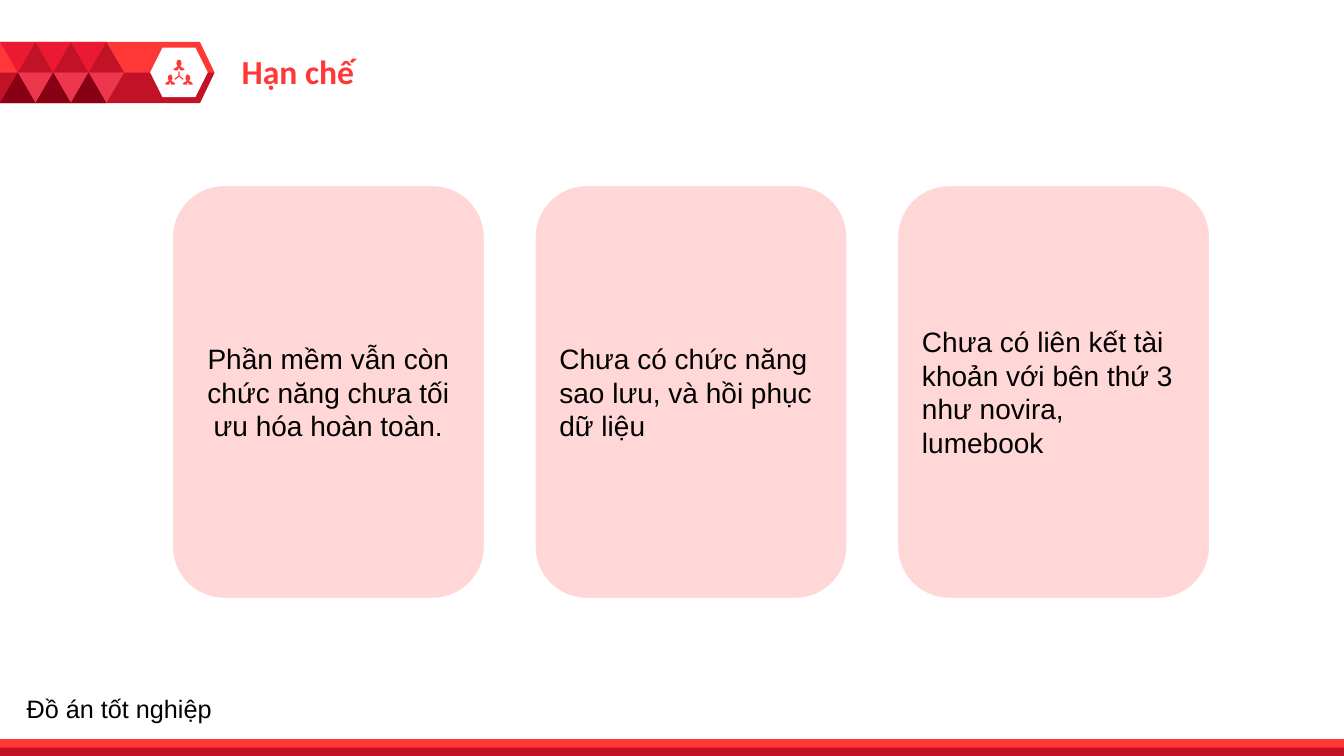
"""Builds the limitations slide: a red title banner, three cards and a footer."""
from pptx import Presentation
from pptx.dml.color import RGBColor
from pptx.enum.shapes import MSO_SHAPE
from pptx.enum.text import MSO_ANCHOR, PP_ALIGN
from pptx.util import Pt

BRIGHT_RED = RGBColor(0xFF, 0x37, 0x37)
DARK_RED = RGBColor(0xC2, 0x12, 0x27)
CRIMSON = RGBColor(0xEB, 0x19, 0x32)
ROSE = RGBColor(0xED, 0x37, 0x4D)
MAROON = RGBColor(0x88, 0x00, 0x14)
PALE_PINK = RGBColor(0xFF, 0xD7, 0xD7)
WHITE = RGBColor(0xFF, 0xFF, 0xFF)
BLACK = RGBColor(0, 0, 0)

deck = Presentation()
deck.slide_width, deck.slide_height = Pt(960), Pt(540)
page = deck.slides.add_slide(deck.slide_layouts[6])


def add_filled(kind, left, top, width, height, color):
    shape = page.shapes.add_shape(kind, Pt(left), Pt(top), Pt(width), Pt(height))
    shape.shadow.inherit = False
    shape.fill.solid()
    shape.fill.fore_color.rgb = color
    shape.line.fill.background()
    return shape


def add_outline(contours, color):
    contours = [[(Pt(x), Pt(y)) for x, y in contour] for contour in contours]
    builder = page.shapes.build_freeform(*contours[0][0], scale=1.0)
    for contour in contours:
        builder.move_to(*contour[0])
        builder.add_line_segments(contour[1:], close=True)
    shape = builder.convert_to_shape()
    shape.shadow.inherit = False
    shape.fill.solid()
    shape.fill.fore_color.rgb = color
    shape.line.fill.background()


banner = add_filled(MSO_SHAPE.PENTAGON, 0, 30, 153.2, 43.6, BRIGHT_RED)
banner.adjustments[0] = 0.239
add_outline([[(0, 51.8), (153.2, 51.8), (142.8, 73.6), (0, 73.6)]], DARK_RED)
badge = add_filled(MSO_SHAPE.HEXAGON, 107.2, 34, 41.2, 35.4, WHITE)
badge.adjustments[0] = 0.25

PERSON_HALF = [(0, 0), (0.25, 0.06), (0.42, 0.22), (0.46, 0.4), (0.3, 0.54),
               (0.25, 0.64), (0.5, 0.72), (0.8, 0.8), (1, 0.95), (0.6, 1),
               (0.2, 1), (0.06, 0.78)]
PERSON = PERSON_HALF + [(-x, y) for x, y in reversed(PERSON_HALF[1:])]
people = [[(center + x * half_width, top + y * height) for x, y in PERSON]
          for center, top, half_width, height in
          [(127.9, 42.6, 4, 7.7), (121.6, 53.2, 3.7, 7.3), (134.2, 53.2, 3.7, 7.3)]]
links = [(127.5, 51.1), (128.3, 51.1), (128.3, 54.1), (131.2, 56.4),
         (130.7, 57), (127.9, 54.8), (125.1, 57), (124.6, 56.4), (127.5, 54.1)]
add_outline(people + [links], BRIGHT_RED)

TILES = [(0, 29.9, 180, CRIMSON), (12.7, 30, 0, DARK_RED),
         (12.7, 51.8, 180, ROSE), (0, 51.8, 0, MAROON)]
for column in range(3):
    for offset, top, rotation, color in TILES:
        tile = add_filled(MSO_SHAPE.ISOSCELES_TRIANGLE, column * 25.3 + offset, top,
                          25.3, 21.8, color)
        tile.rotation = rotation

add_filled(MSO_SHAPE.RECTANGLE, 0, 528, 960, 12, BRIGHT_RED)
add_filled(MSO_SHAPE.RECTANGLE, 0, 534, 960, 6, DARK_RED)

LABELS = [("Hạn chế", 165.6, 32.6, 304, 36.4, "Calibri", 24, True, BRIGHT_RED),
          ("Đồ án tốt nghiệp", 12, 492, 204, 29, "Arial", 18, False, BLACK)]
for text, left, top, width, height, font_name, size, bold, color in LABELS:
    box = page.shapes.add_textbox(Pt(left), Pt(top), Pt(width), Pt(height))
    box.text_frame.word_wrap = True
    para = box.text_frame.paragraphs[0]
    para.text = text
    para.font.name, para.font.size, para.font.bold = font_name, Pt(size), bold
    para.font.color.rgb = color

CARDS = [("Phần mềm vẫn còn chức năng chưa tối ưu hóa hoàn toàn.", PP_ALIGN.CENTER),
         ("Chưa có chức năng sao lưu, và hồi phục dữ liệu", PP_ALIGN.LEFT),
         ("Chưa có liên kết tài khoản với bên thứ 3 như novira, lumebook", PP_ALIGN.LEFT)]
for index, (text, alignment) in enumerate(CARDS):
    card = add_filled(MSO_SHAPE.FLOWCHART_ALTERNATE_PROCESS, 122.6 + index * 259, 132,
                      224, 296, PALE_PINK)
    card.line.color.rgb = WHITE
    card.line.width = Pt(2)
    card.text_frame.word_wrap = True
    card.text_frame.vertical_anchor = MSO_ANCHOR.MIDDLE
    para = card.text_frame.paragraphs[0]
    para.text = text
    para.alignment = alignment
    para.font.name, para.font.size = "Arial", Pt(20)
    para.font.color.rgb = BLACK

deck.save("out.pptx")
